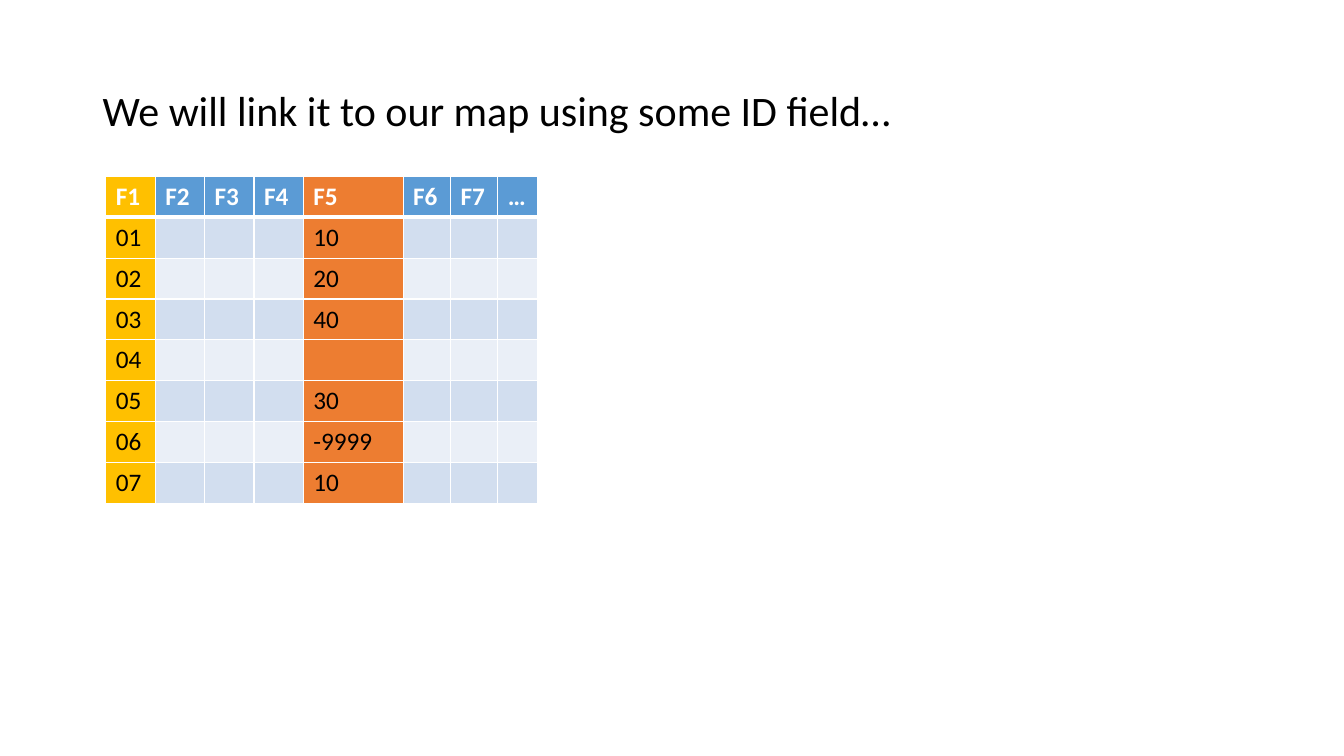
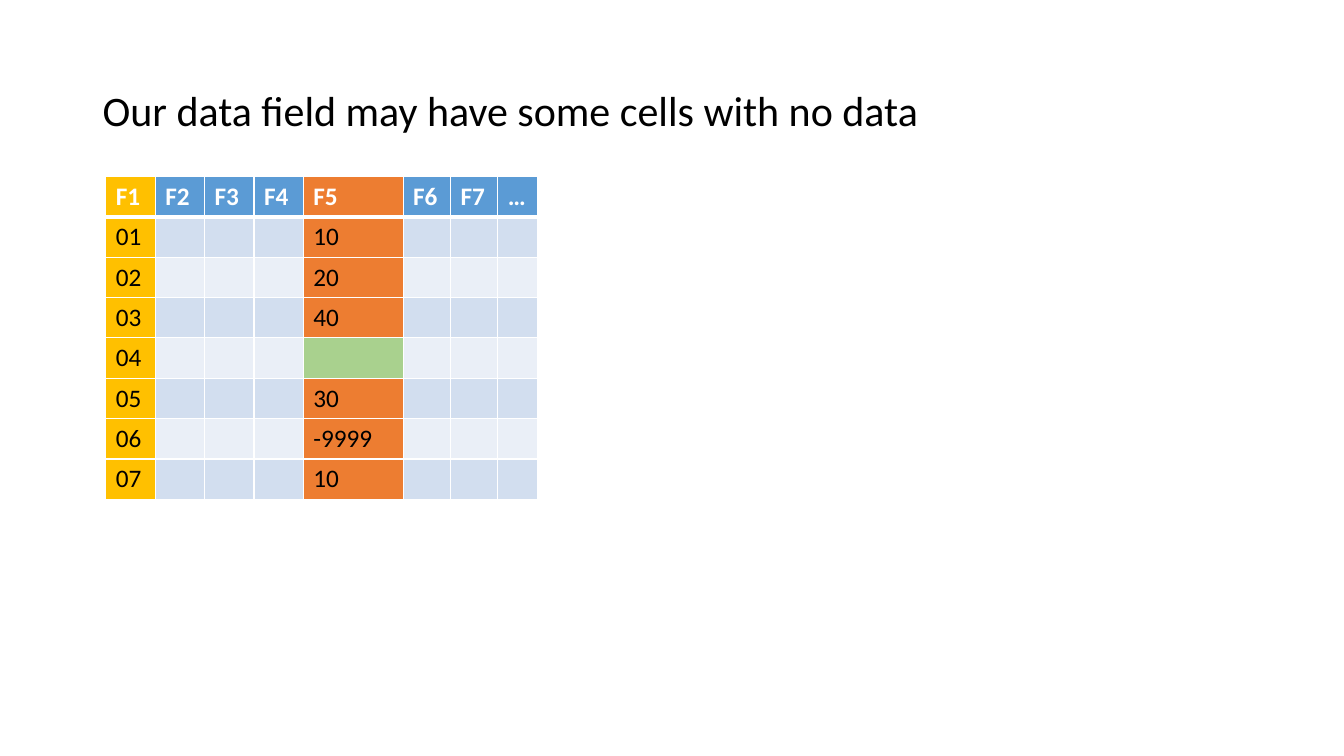
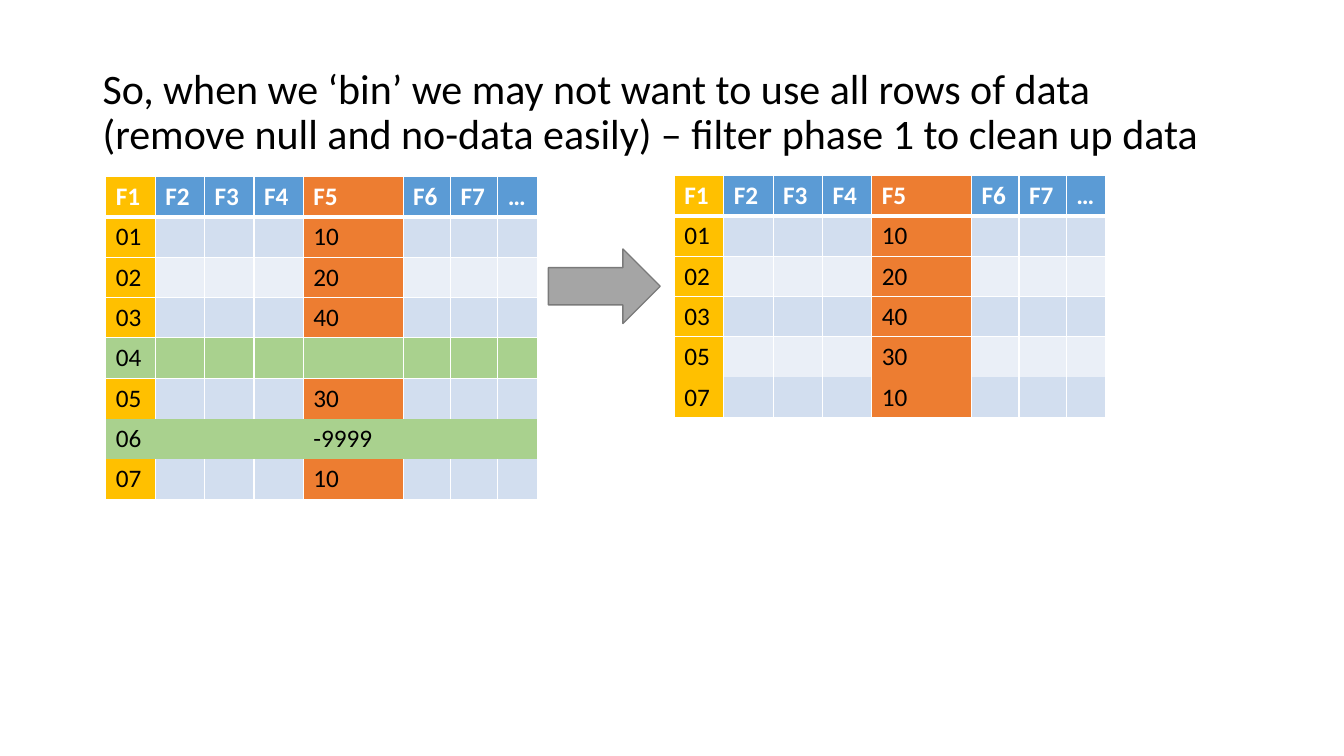
from lxml import etree
from pptx import Presentation
from pptx.dml.color import RGBColor
from pptx.enum.shapes import MSO_SHAPE
from pptx.enum.text import MSO_ANCHOR
from pptx.oxml.ns import qn
from pptx.util import Inches, Pt

ARROW = MSO_SHAPE.RIGHT_ARROW
MIDDLE = MSO_ANCHOR.MIDDLE
HEX = {
    "ink": "000000", "white": "FFFFFF", "key": "FFC000", "head": "5B9BD5",
    "data": "ED7D31", "odd": "D2DEEF", "even": "EAEFF7", "mark": "A9D18E",
    "arrow": "A5A5A5", "edge": "7A7A7A",
}
TITLE = {"name": "Calibri", "size": Pt(30), "bold": False}
BODY = {"name": "Calibri", "size": Pt(18), "bold": False}
HEAD = {**BODY, "bold": True}
FIELDS = ["F1", "F2", "F3", "F4", "F5", "F6", "F7", "…"]
WIDTHS = [1.47, 1.47, 1.47, 1.47, 2.97, 1.41, 1.41, 1.17]
ROW = 1.6
KEY, DATA = FIELDS.index("F1"), FIELDS.index("F5")
VALUES = {"01": "10", "02": "20", "03": "40", "04": "",
          "05": "30", "06": "-9999", "07": "10"}
LEFT = (3.15, 7)
RIGHT = (20.07, 6.96)


class Deck:
    """Draws titles, field tables and arrows on a 40 by 30 grid."""

    def __init__(self):
        self.prs = Presentation()
        self.prs.slide_width, self.prs.slide_height = Inches(13.33), Inches(7.5)
        self.slide = None

    def add(self):
        self.slide = self.prs.slides.add_slide(self.prs.slide_layouts[6])

    def col(self, count):
        return round(self.prs.slide_width * count / 40)

    def row(self, count):
        return round(self.prs.slide_height * count / 30)

    def box(self, x, y, w, h):
        return self.col(x), self.row(y), self.col(w), self.row(h)

    def color(self, name):
        return RGBColor.from_string(HEX[name])

    def style(self, para, form, ink):
        for run in para.runs:
            for name, value in form.items():
                setattr(run.font, name, value)
            run.font.color.rgb = self.color(ink)

    def title(self, text):
        frame = self.slide.shapes.add_textbox(*self.box(2.76, 1.6, 36.33, 5.8)).text_frame
        for name, value in {"word_wrap": True, "vertical_anchor": MIDDLE}.items():
            setattr(frame, name, value)
        para = frame.paragraphs[0]
        para.text = text
        para.line_spacing = 0.9
        self.style(para, TITLE, "ink")

    def border(self, cell, sides):
        props = cell._tc.get_or_add_tcPr()
        for side, width in sides.items():
            line = etree.SubElement(props, qn("a:ln" + side), w=str(Pt(width)))
            if width:
                fill = etree.SubElement(line, qn("a:solidFill"))
                etree.SubElement(fill, qn("a:srgbClr"), val=HEX["white"])
            else:
                etree.SubElement(line, qn("a:noFill"))

    def cell(self, cell, text, fill, form, ink, sides):
        self.border(cell, sides)
        cell.fill.solid()
        cell.fill.fore_color.rgb = self.color(fill)
        if text:
            cell.text = text
            self.style(cell.text_frame.paragraphs[0], form, ink)

    def table(self, spot, keys, marks=(), bare=(), open=()):
        lines = [FIELDS]
        for key in keys:
            line = [""] * len(FIELDS)
            line[KEY], line[DATA] = key, VALUES[key]
            lines.append(line)
        area = self.box(*spot, sum(WIDTHS), ROW * len(lines))
        grid = self.slide.shapes.add_table(len(lines), len(FIELDS), *area).table
        for c, width in enumerate(WIDTHS):
            grid.columns[c].width = self.col(width)
        for r, line in enumerate(lines):
            grid.rows[r].height = self.row(ROW)
            key, above = line[KEY], lines[r - 1][KEY]
            form, ink = (BODY, "ink") if r else (HEAD, "white")
            band = ("even", "odd")[r % 2] if r else "head"
            edge = 0 if key in bare else 1
            top = 3 if r == 1 else int(above not in open)
            base = int(key not in open) if r else 3
            sides = {"L": edge, "R": edge, "T": top, "B": base}
            for c, text in enumerate(line):
                fill = {KEY: "key", DATA: "data"}.get(c, band)
                if (key, c) in marks:
                    fill = "mark"
                self.cell(grid.cell(r, c), text, fill, form, ink, sides)

    def arrow(self, *area):
        shape = self.slide.shapes.add_shape(ARROW, *self.box(*area))
        shape.shadow.inherit = False
        shape.fill.solid()
        shape.fill.fore_color.rgb = self.color("arrow")
        shape.line.color.rgb = self.color("edge")
        shape.line.width = Pt(1)


deck = Deck()

deck.add()
deck.table(LEFT, VALUES)
deck.title("We will link it to our map using some ID field…")

deck.add()
deck.table(LEFT, VALUES, marks=[("04", DATA)])
deck.title("Our data field may have some cells with no data")

deck.add()
drop = ("04", "06")
marks = [(key, c) for key in drop for c in range(len(FIELDS))]
deck.table(LEFT, VALUES, marks, bare=["06"], open=["05", "06"])
deck.title("So, when we ‘bin’ we may not want to use all rows of data \v"
           "(remove null and no-data easily) – filter phase 1 to clean up data")
deck.table(RIGHT, [key for key in VALUES if key not in drop], open=["05"])
deck.arrow(16.32, 9.88, 3.33, 2.96)

deck.prs.save("out.pptx")
